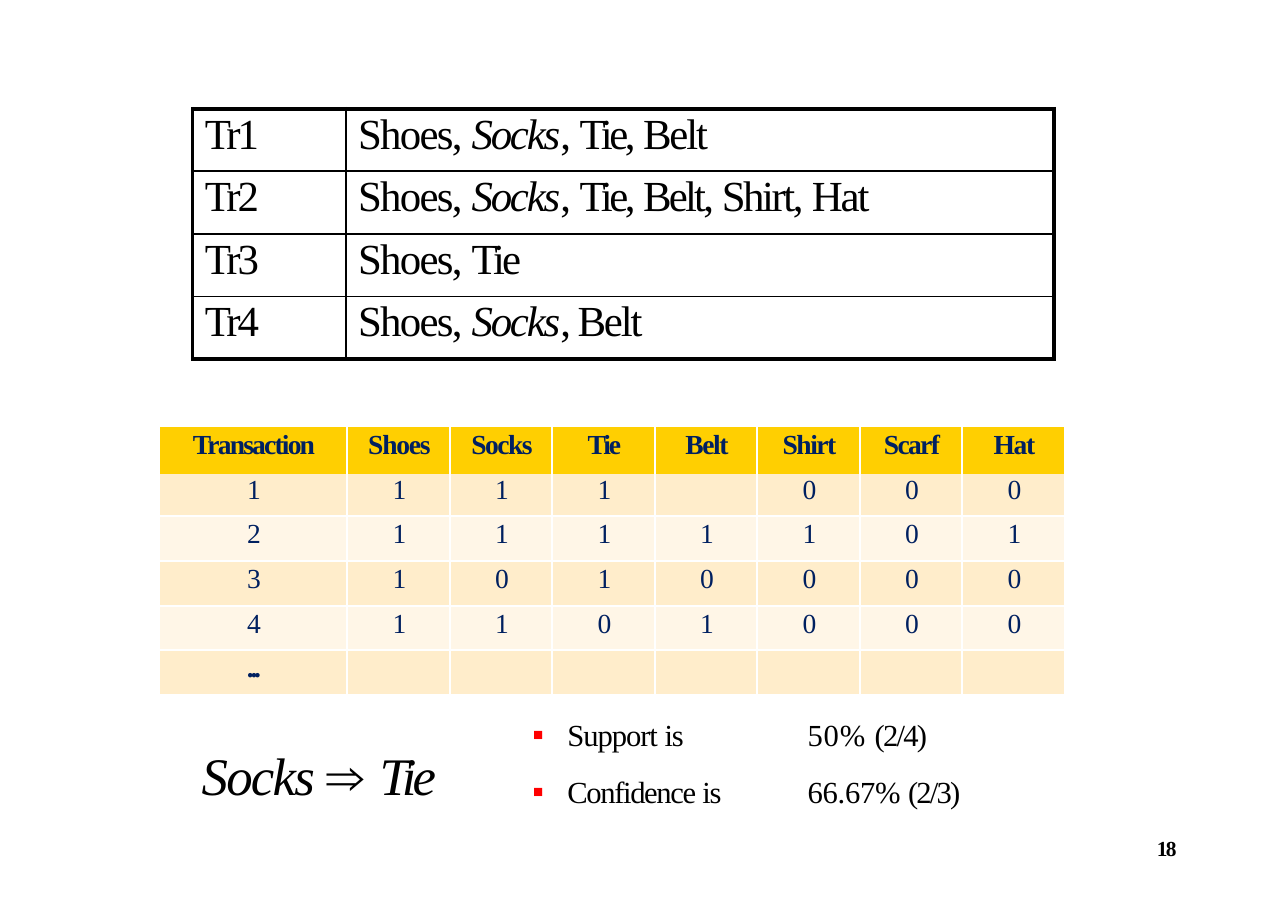
from lxml import etree
from pptx import Presentation
from pptx.dml.color import RGBColor
from pptx.enum.text import MSO_AUTO_SIZE, PP_ALIGN
from pptx.oxml.ns import qn
from pptx.util import Emu, Inches, Pt

CENTER, LEFT = PP_ALIGN.CENTER, PP_ALIGN.LEFT
FIT_SHAPE = MSO_AUTO_SIZE.SHAPE_TO_FIT_TEXT
COLORS = {"black": "000000", "navy": "002060", "red": "FF0000", "white": "FFFFFF",
          "header": "FFCF01", "odd": "FFEDCB", "even": "FFF6E7"}
SERIF = "Times New Roman"
ITALIC, BOLD = {"italic": True}, {"bold": True}


def write(frame, runs, size, color="black", align=LEFT, before=0, indent=0.0, inset=0.0):
    """Fill a frame or cell with one paragraph; a run is (text, letter spacing, font format)."""
    frame.margin_left = frame.margin_right = frame.margin_bottom = 0
    frame.margin_top = Inches(inset)
    text = getattr(frame, "text_frame", frame)
    paragraph = text.paragraphs[0]
    paragraph.alignment, paragraph.space_before = align, Pt(before)
    paragraph._p.get_or_add_pPr().set("marL", str(Inches(indent)))
    for words, spacing, style in runs:
        run = paragraph.add_run()
        run.text = words
        run.font.color.rgb = RGBColor.from_string(COLORS[color])
        for name, value in {"name": SERIF, "size": Pt(size), **style}.items():
            setattr(run.font, name, value)
        run._r.get_or_add_rPr().set("spc", str(round(spacing * 100)))
    return paragraph


def draw_borders(cell, color, widths):
    """Set left, right, top and bottom border widths in points; 0 means no line."""
    properties = cell._tc.get_or_add_tcPr()
    for side, width in zip("LRTB", widths):
        line = etree.SubElement(properties, qn(f"a:ln{side}"), w=str(Pt(width)))
        if width:
            fill = etree.SubElement(line, qn("a:solidFill"))
            etree.SubElement(fill, qn("a:srgbClr"), val=COLORS[color])
        else:
            etree.SubElement(line, qn("a:noFill"))


presentation = Presentation()
presentation.slide_width, presentation.slide_height = Inches(11.69), Inches(8.27)
slide = presentation.slides.add_slide(presentation.slide_layouts[6])

# Grid of 100 columns by 100 rows
COL, ROW = presentation.slide_width / 100, presentation.slide_height / 100
GRID = (COL, ROW, COL, ROW)

# Tables: place on the grid, column widths, row heights
layouts = [
    ((12.32, 46.8), [14.63] + [7.96] * 7, [5.2, 4.6, 4.96, 4.96, 4.84, 4.96]),
    ((14.97, 11.97), [11.89, 55], [6.86] * 4),
]
tables = []
for place, widths, heights in layouts:
    box = (*place, sum(widths), sum(heights))
    table = slide.shapes.add_table(
        len(heights), len(widths), *(Emu(v * unit) for v, unit in zip(box, GRID))).table
    table.first_row = table.horz_banding = False
    for column, width in zip(table.columns, widths):
        column.width = Emu(width * COL)
    for row, height in zip(table.rows, heights):
        row.height = Emu(height * ROW)
    tables.append(table)
matrix, baskets = tables

# Item matrix
headings = [("Transaction", -1.2), ("Shoes", -0.8), ("Socks", -1), ("Tie", -1.4),
            ("Belt", -0.9), ("Shirt", -1), ("Scarf", -1.1), ("Hat", -0.9)]
counts = ["1111 000", "21111101", "31010000", "41101000"]
matrix_rows = [[(heading, spacing, BOLD) for heading, spacing in headings]]
matrix_rows += [[(digit.strip(), 0, {}) for digit in line] for line in counts]
matrix_rows.append([("...", -2.1, BOLD)] + [("", 0, {})] * 7)

for r, entries in enumerate(matrix_rows):
    fill = "header" if r == 0 else "odd" if r % 2 else "even"
    top = 0 if r == 1 else 1 if r in (0, 5) else 1.5
    bottom = 0 if r == 0 else 1 if r > 3 else 1.5
    for c, entry in enumerate(entries):
        cell = matrix.cell(r, c)
        write(cell, [entry] if entry[0] else [], 18, "navy", CENTER,
              before=0.9 if r == 1 else 2.4, indent=0.02, inset=0.01 if r == 1 else 0.03)
        draw_borders(cell, "white", (1 if c == 3 else 1.5, 1 if c in (2, 7) else 1.5, top, bottom))
        cell.fill.solid()
        cell.fill.fore_color.rgb = RGBColor.from_string(COLORS[fill])

# Baskets
shoes_socks = [("Shoes, ", -1.1, {}), ("Socks", -1.4, ITALIC)]
with_tie = shoes_socks + [(", ", -1.4, {}), ("Tie, ", -2.2, {})]
basket_items = [
    with_tie + [("Belt", -1.4, {})],
    with_tie + [("Belt, ", -1.8, {}), ("Shirt, ", -1.6, {}), ("Hat", -1.4, {})],
    [("Shoes, ", -1.1, {}), ("Tie", -1.9, {})],
    shoes_socks + [(", Belt", -1.4, {})],
]
rules = [3, 1.5, 1.5, 1, 3]
for r, items in enumerate(basket_items):
    for c, runs in enumerate([[(f"Tr{r + 1}", -2, {})], items]):
        cell = baskets.cell(r, c)
        write(cell, runs, 28, before=1.8, indent=0.11, inset=0.02)
        sides = (1.5, 3) if c else (2.25, 1.5)
        draw_borders(cell, "black", (*sides, *rules[r:r + 2]))
        cell.fill.background()

# Rule, its measures and the page number: place, size, runs, space before, indent
measures = [
    ([("Support ", -0.7, {}), ("is", -0.8, {})], [("50% ", 0.5, {}), ("(2/4)", -1.2, {})]),
    ([("Confidence ", -0.9, {}), ("is", -0.8, {})], [("66.67% ", -0.2, {}), ("(2/3)", -1.2, {})]),
]
rule = [("Socks ", -1.1, ITALIC), ("⇒ ", 0.2, {"name": "Arial"}), ("Tie", -2.6, ITALIC)]
texts = [
    ((15.57, 81.38, 20.19, 7.38), 34.5, rule, 1.2, 0.01),
    ((89.56, 92.14, 2.14, 2.42), 14, [("18", -1.1, BOLD)], 0, 0.03),
]
for n, (label, value) in enumerate(measures):
    y = 78.48 + 6.28 * n
    texts.append(((41.23, y, 15.83, 4.35), 20, label, 0.9, 0.33))
    texts.append(((62.62, y, 12.66, 4.35), 20, value, 0.9, 0.01))

for box, size, runs, before, indent in texts:
    frame = slide.shapes.add_textbox(*(Emu(v * unit) for v, unit in zip(box, GRID))).text_frame
    frame.word_wrap, frame.auto_size = True, FIT_SHAPE
    paragraph = write(frame, runs, size, before=before, indent=indent,
                      inset=0.01 if before else 0)
    if not before:
        paragraph.line_spacing = Pt(14.3)
    if indent == 0.33:
        properties = paragraph._p.get_or_add_pPr()
        properties.set("indent", str(Inches(-0.31)))
        bullet_color = etree.SubElement(properties, qn("a:buClr"))
        etree.SubElement(bullet_color, qn("a:srgbClr"), val=COLORS["red"])
        etree.SubElement(properties, qn("a:buSzPct"), val="55000")
        etree.SubElement(properties, qn("a:buFont"), typeface="Arial")
        etree.SubElement(properties, qn("a:buChar"), char="■")

presentation.save("out.pptx")
